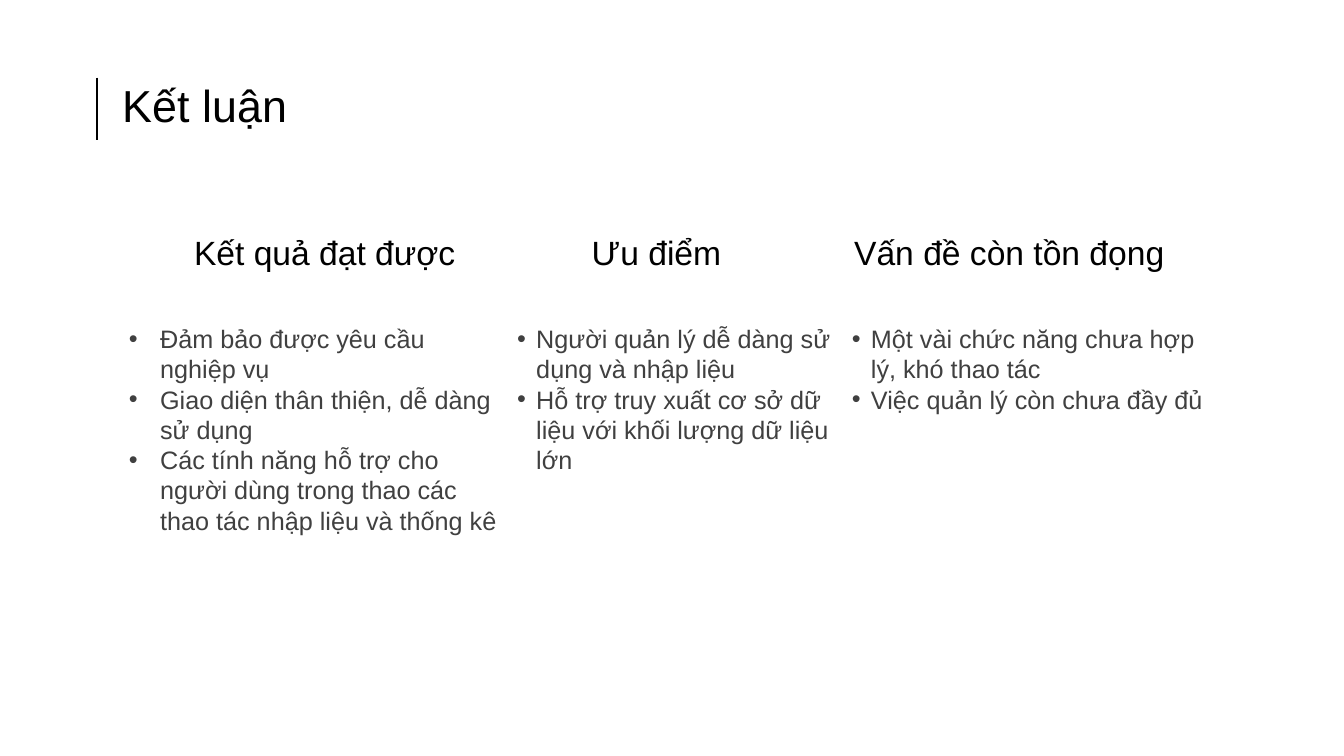
"""Build the conclusion slide with three headed bullet columns."""
from dataclasses import dataclass

from lxml import etree
from pptx import Presentation
from pptx.dml.color import RGBColor
from pptx.enum.shapes import MSO_CONNECTOR, MSO_SHAPE
from pptx.enum.text import MSO_ANCHOR, PP_ALIGN
from pptx.oxml.ns import qn
from pptx.util import Inches, Pt

RECT = MSO_SHAPE.RECTANGLE
STRAIGHT = MSO_CONNECTOR.STRAIGHT
MIDDLE = MSO_ANCHOR.MIDDLE
CENTER = PP_ALIGN.CENTER
FONT = "Arial"
BLACK, WHITE, GRAY = "000000", "FFFFFF", "404040"
HEAD_TOP, HEAD_HEIGHT, LIST_TOP = 2.25, 0.5, 3.16


@dataclass
class Column:
    heading: str
    head_left: float
    head_width: float
    list_left: float
    list_width: float
    list_height: float
    indent: float
    items: list[str]


COLUMNS = [
    Column("Kết quả đạt được", 1.78, 2.88, 1.18, 3.85, 2.22, 0.31, [
        "Đảm bảo được yêu cầu nghiệp vụ",
        "Giao diện thân thiện, dễ dàng sử dụng",
        "Các tính năng hỗ trợ cho người dùng trong thao các thao tác nhập liệu và thống kê",
    ]),
    Column("Ưu điểm", 5.45, 2.12, 5.03, 3.32, 1.62, 0.19, [
        "Người quản lý dễ dàng sử dụng và nhập liệu",
        "Hỗ trợ truy xuất cơ sở dữ liệu với khối lượng dữ liệu lớn",
    ]),
    Column("Vấn đề còn tồn đọng", 8.35, 3.32, 8.35, 3.85, 1.01, 0.19, [
        "Một vài chức năng chưa hợp lý, khó thao tác",
        "Việc quản lý còn chưa đầy đủ",
    ]),
]


def rgb(color: str) -> RGBColor:
    return RGBColor.from_string(color)


def add_run(p, text: str, size: float, color: str) -> None:
    r = p.add_run()
    r.text = text
    r.font.name = FONT
    r.font.size = Pt(size)
    r.font.color.rgb = rgb(color)


def add_bullet(p, indent: float) -> None:
    pPr = p._p.get_or_add_pPr()
    pPr.set("marL", str(Inches(indent)))
    pPr.set("indent", str(-Inches(indent)))
    etree.SubElement(pPr, qn("a:buFont"), typeface=FONT)
    etree.SubElement(pPr, qn("a:buChar"), char="•")


def add_title(s, text: str) -> None:
    sp = s.shapes.add_textbox(Inches(1.09), Inches(0.71), Inches(8.64), Inches(0.73))
    tf = sp.text_frame
    tf.word_wrap = True
    tf.vertical_anchor = MIDDLE
    tf.margin_left = tf.margin_right = tf.margin_top = tf.margin_bottom = Inches(0.13)
    p = tf.paragraphs[0]
    p.line_spacing = 0.9
    add_run(p, text, 32, BLACK)

    rule = s.shapes.add_connector(STRAIGHT, Inches(0.96), Inches(0.77), Inches(0.96), Inches(1.39))
    rule.line.color.rgb = rgb(BLACK)
    rule.line.width = Pt(1.5)
    etree.SubElement(rule._element.spPr, qn("a:effectLst"))


def add_heading(s, col: Column) -> None:
    sp = s.shapes.add_shape(RECT, Inches(col.head_left), Inches(HEAD_TOP),
                            Inches(col.head_width), Inches(HEAD_HEIGHT))
    sp.shadow.inherit = False
    sp.fill.solid()
    sp.fill.fore_color.rgb = rgb(WHITE)
    sp.line.fill.background()
    tf = sp.text_frame
    tf.word_wrap = True
    tf.vertical_anchor = MIDDLE
    p = tf.paragraphs[0]
    p.alignment = CENTER
    add_run(p, col.heading, 24, BLACK)


def add_list(s, col: Column) -> None:
    sp = s.shapes.add_textbox(Inches(col.list_left), Inches(LIST_TOP),
                              Inches(col.list_width), Inches(col.list_height))
    tf = sp.text_frame
    tf.word_wrap = True
    for i, item in enumerate(col.items):
        p = tf.add_paragraph() if i else tf.paragraphs[0]
        add_bullet(p, col.indent)
        add_run(p, item, 18, GRAY)


def main() -> None:
    prs = Presentation()
    prs.slide_width, prs.slide_height = Inches(13.33), Inches(7.5)
    s = prs.slides.add_slide(prs.slide_layouts[6])
    s.background.fill.solid()
    s.background.fill.fore_color.rgb = rgb(WHITE)
    add_title(s, "Kết luận")
    for col in COLUMNS:
        add_heading(s, col)
        add_list(s, col)
    prs.save("out.pptx")


if __name__ == "__main__":
    main()
